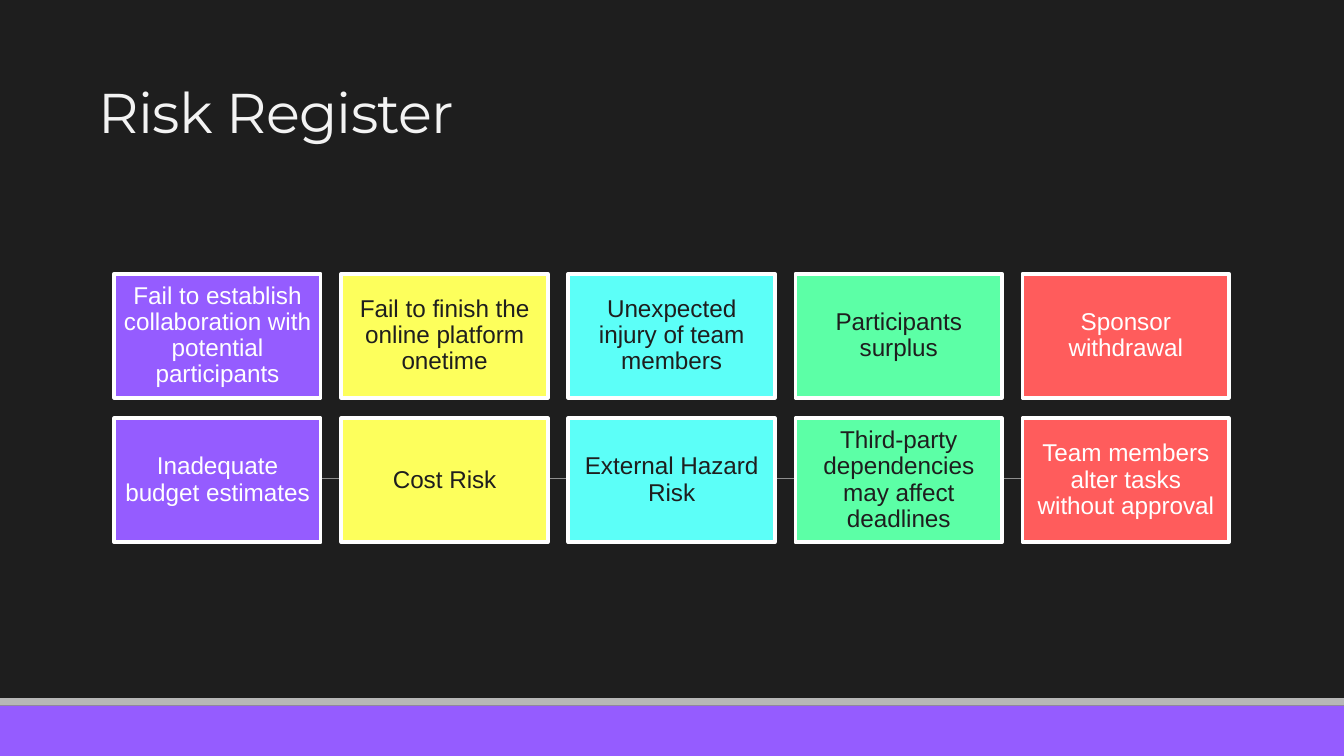
"""Build the Risk Register slide."""
from dataclasses import dataclass

from lxml import etree
from pptx import Presentation
from pptx.dml.color import RGBColor
from pptx.enum.shapes import MSO_CONNECTOR, MSO_SHAPE
from pptx.enum.text import MSO_ANCHOR, PP_ALIGN
from pptx.oxml.ns import qn
from pptx.shapes.autoshape import Shape
from pptx.slide import Slide
from pptx.util import Pt

RECT = MSO_SHAPE.RECTANGLE
STRAIGHT = MSO_CONNECTOR.STRAIGHT
MIDDLE = MSO_ANCHOR.MIDDLE
CENTER = PP_ALIGN.CENTER

DARK = RGBColor(0x1E, 0x1E, 0x1E)
WHITE = RGBColor(0xFF, 0xFF, 0xFF)
OFF_WHITE = RGBColor(0xF3, 0xF3, 0xF3)
SILVER = RGBColor(0xB7, 0xB7, 0xB7)
GRAY = RGBColor(0x8E, 0x8E, 0x8E)
PURPLE = RGBColor(0x95, 0x5C, 0xFF)
YELLOW = RGBColor(0xFD, 0xFF, 0x5C)
CYAN = RGBColor(0x5C, 0xFF, 0xF8)
GREEN = RGBColor(0x5C, 0xFF, 0xA6)
RED = RGBColor(0xFF, 0x5C, 0x5C)

SLIDE_W, SLIDE_H = 720, 405
GRID_LEFT, GRID_TOP = 61.2, 146.7
CARD_W, CARD_H = 110.6, 66.4
STEP_X, STEP_Y = 121.65, 77.4


@dataclass
class RiskColumn:
    fill: RGBColor
    color: RGBColor
    risks: tuple[str, str]


COLUMNS = [
    RiskColumn(PURPLE, WHITE, (
        "Fail to establish collaboration with potential participants",
        "Inadequate budget estimates")),
    RiskColumn(YELLOW, DARK, (
        "Fail to finish the online platform onetime", "Cost Risk")),
    RiskColumn(CYAN, DARK, (
        "Unexpected injury of team members", "External Hazard Risk")),
    RiskColumn(GREEN, DARK, (
        "Participants surplus",
        "Third-party dependencies may affect deadlines")),
    RiskColumn(RED, WHITE, (
        "Sponsor withdrawal", "Team members alter tasks without approval")),
]


def add_rect(s: Slide, x: float, y: float, w: float, h: float,
             fill: RGBColor) -> Shape:
    sp = s.shapes.add_shape(RECT, Pt(x), Pt(y), Pt(w), Pt(h))
    sp.shadow.inherit = False
    sp.fill.solid()
    sp.fill.fore_color.rgb = fill
    sp.line.fill.background()
    return sp


def add_text(sp: Shape, text: str, font: str, size: float, color: RGBColor,
             spacing: float, inset_x: float, inset_y: float) -> None:
    tf = sp.text_frame
    tf.word_wrap = True
    tf.vertical_anchor = MIDDLE
    tf.margin_left = tf.margin_right = Pt(inset_x)
    tf.margin_top = tf.margin_bottom = Pt(inset_y)
    p = tf.paragraphs[0]
    p.text = text
    p.line_spacing = spacing
    p.font.name = font
    p.font.size = Pt(size)
    p.font.color.rgb = color


def add_title(s: Slide) -> None:
    sp = s.shapes.add_textbox(Pt(47.5), Pt(27.4), Pt(625), Pt(69.8))
    add_text(sp, "Risk Register", "Montserrat", 30, OFF_WHITE, 0.85, 5.4, 2.7)
    r = sp.text_frame.paragraphs[0].runs[0]
    r.font._element.set("spc", "-40")


def add_rule(s: Slide) -> None:
    line = s.shapes.add_connector(
        STRAIGHT, Pt(71.3), Pt(256.3), Pt(654.5), Pt(256.3))
    line.line.color.rgb = GRAY
    line.line.width = Pt(0.5)
    etree.SubElement(line._element.spPr, qn("a:effectLst"))


def add_card(s: Slide, col: int, row: int, column: RiskColumn) -> None:
    sp = add_rect(s, GRID_LEFT + col * STEP_X, GRID_TOP + row * STEP_Y,
                  CARD_W, CARD_H, column.fill)
    sp.line.color.rgb = WHITE
    sp.line.width = Pt(2)
    add_text(sp, column.risks[row], "Arial", 13, column.color, 0.9, 3.6, 3.6)
    sp.text_frame.paragraphs[0].alignment = CENTER


def main() -> None:
    prs = Presentation()
    prs.slide_width, prs.slide_height = Pt(SLIDE_W), Pt(SLIDE_H)
    s = prs.slides.add_slide(prs.slide_layouts[6])
    s.background.fill.solid()
    s.background.fill.fore_color.rgb = DARK
    add_rect(s, 0, 378, SLIDE_W, 27, PURPLE)
    add_rect(s, 0, 374, SLIDE_W, 4, SILVER)
    add_rule(s)
    add_title(s)
    for col, column in enumerate(COLUMNS):
        for row in range(len(column.risks)):
            add_card(s, col, row, column)
    prs.save("out.pptx")


main()
